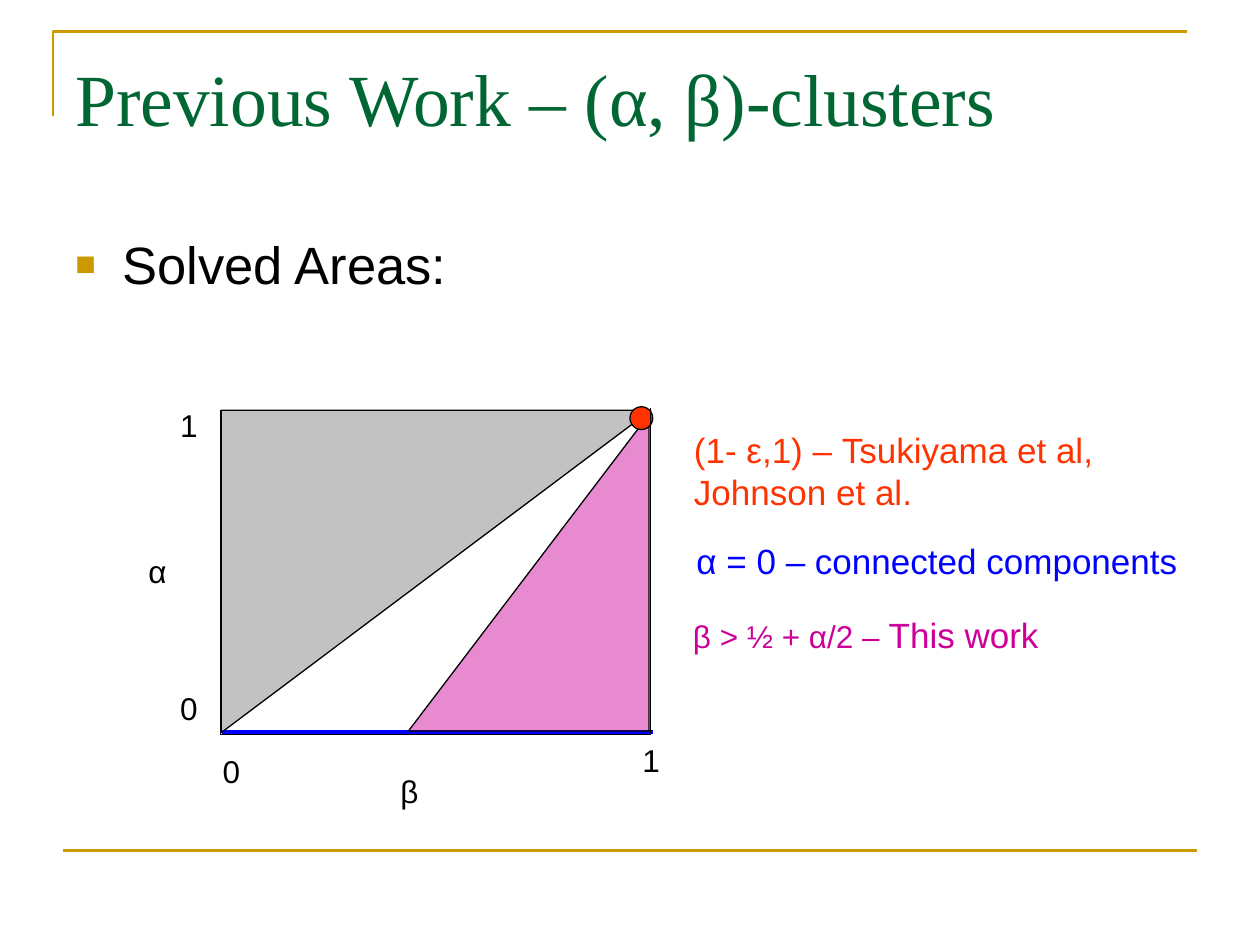
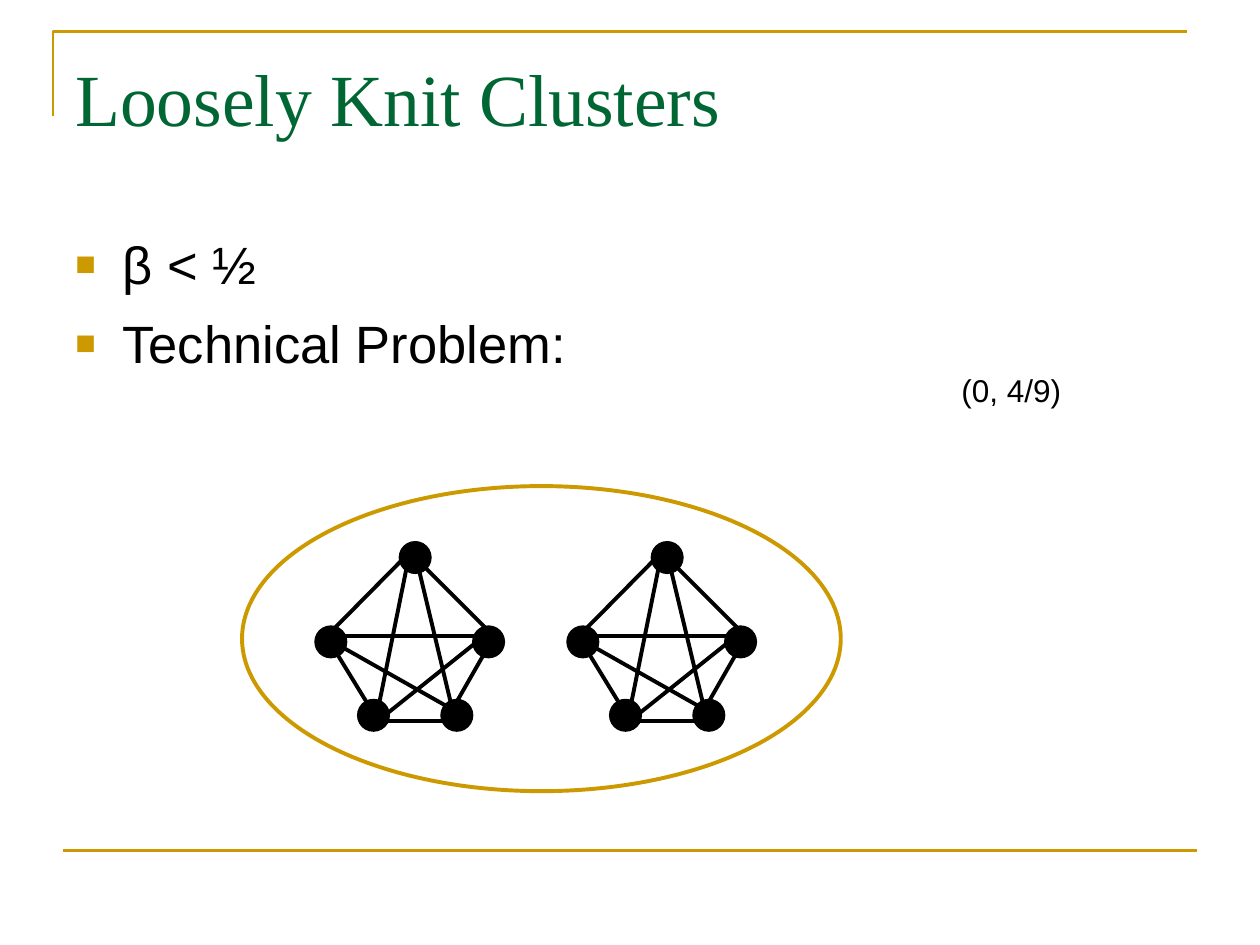
from dataclasses import dataclass

import lxml.etree
import pptx
import pptx.dml.color
import pptx.enum.shapes
import pptx.enum.text
import pptx.oxml.ns
import pptx.util

Cm = pptx.util.Cm
Pt = pptx.util.Pt
Kind = pptx.enum.shapes.MSO_SHAPE
qn = pptx.oxml.ns.qn


@dataclass(frozen=True)
class Theme:
    gold: str = "CC9900"
    green: str = "006633"
    black: str = "000000"
    blue: str = "0000FF"
    red: str = "FF3300"
    magenta: str = "CC0099"
    gray: str = "5F5F5F"
    title_font: str = "Times New Roman"
    body_font: str = "Arial"
    title_size: float = 42
    body_size: float = 30
    note_size: float = 20
    label_size: float = 18
    thin: float = 0.75
    rule: float = 1.5
    thick: float = 2.25


class Deck:
    def __init__(self, theme):
        self.theme = theme
        self.presentation = pptx.Presentation()
        self.presentation.slide_width = Cm(25.4)
        self.presentation.slide_height = Cm(19.05)
        self.page = None

    def color(self, value):
        return pptx.dml.color.RGBColor.from_string(value)

    def new_page(self, title):
        theme = self.theme
        self.page = self.presentation.slides.add_slide(self.presentation.slide_layouts[6])
        builder = self.page.shapes.build_freeform(Cm(1.07), Cm(2.34))
        builder.add_line_segments([(Cm(1.07), Cm(0.64)), (Cm(23.93), Cm(0.64))], close=False)
        self.style(builder.convert_to_shape(), None, theme.gold, theme.rule)
        self.line((1.27, 17.15), (24.13, 17.15), theme.gold, theme.rule)
        frame = self.text_frame(1.27, 0.76, 22.86, 3.18, top_inset=0.31)
        self.set_text(frame.paragraphs[0], title, theme.title_size, theme.green, theme.title_font)

    def style(self, shape, fill, line, width, opacity=100):
        shape.shadow.inherit = False
        shape.line.color.rgb = self.color(line)
        shape.line.width = Pt(width)
        if fill is None:
            shape.fill.background()
            return
        shape.fill.solid()
        shape.fill.fore_color.rgb = self.color(fill)
        if opacity < 100:
            tone = shape._element.spPr.find(qn("a:solidFill")).find(qn("a:srgbClr"))
            lxml.etree.SubElement(tone, qn("a:alpha"), val=str(opacity * 1000))

    def shape(self, kind, left, top, width, height, fill, line, weight, opacity=100, rotation=0):
        shape = self.page.shapes.add_shape(kind, Cm(left), Cm(top), Cm(width), Cm(height))
        shape.rotation = rotation
        self.style(shape, fill, line, weight, opacity)

    def line(self, start, end, color, width):
        points = [Cm(value) for value in (*start, *end)]
        connector = self.page.shapes.add_connector(
            pptx.enum.shapes.MSO_CONNECTOR.STRAIGHT, *points)
        connector.line.color.rgb = self.color(color)
        connector.line.width = Pt(width)
        lxml.etree.SubElement(connector._element.spPr, qn("a:effectLst"))

    def text_frame(self, left, top, width, height, top_inset=0.13):
        box = self.page.shapes.add_textbox(Cm(left), Cm(top), Cm(width), Cm(height))
        frame = box.text_frame
        frame.word_wrap = True
        frame.margin_top = Cm(top_inset)
        return frame

    def set_text(self, para, text, size, color, font):
        para.text = text
        self.style_span(para.runs[0], size, color, font)

    def style_span(self, span, size, color, font):
        span.font.size = Pt(size)
        span.font.name = font
        span.font.color.rgb = self.color(color)

    def label(self, text, left, top, width=1.07):
        frame = self.text_frame(left, top, width, 1.02)
        self.set_text(frame.paragraphs[0], text, self.theme.label_size,
                      self.theme.black, self.theme.body_font)

    def note(self, spans, left, top, width, height, color):
        para = self.text_frame(left, top, width, height).paragraphs[0]
        for text, size in spans:
            span = para.add_run()
            span.text = text
            self.style_span(span, size, color, self.theme.body_font)

    def bullets(self, lines):
        theme = self.theme
        frame = self.text_frame(1.27, 4.45, 22.86, 12.57, top_inset=0.23)
        frame.text = "\n".join(lines)
        for para in frame.paragraphs:
            self.style_span(para.runs[0], theme.body_size, theme.black, theme.body_font)
            para.space_before = Pt(9)
            props = para._p.get_or_add_pPr()
            props.set("marL", str(Cm(0.95)))
            props.set("indent", str(-Cm(0.95)))
            tone = lxml.etree.SubElement(props, qn("a:buClr"))
            lxml.etree.SubElement(tone, qn("a:srgbClr"), val=theme.gold)
            lxml.etree.SubElement(props, qn("a:buSzPct"), val="65000")
            lxml.etree.SubElement(props, qn("a:buFont"), typeface=theme.body_font)
            lxml.etree.SubElement(props, qn("a:buChar"), char="■")

    def cluster(self, offset):
        theme = self.theme
        nodes = [(6.35, 12.62), (8.05, 10.92), (9.53, 12.62), (7.21, 14.1), (8.89, 14.1)]
        top, left, right = (8.26, 11.13), (6.58, 12.83), (9.96, 12.83)
        lower_left, lower_right = (7.62, 14.53), (9.12, 14.3)
        edges = [
            ((7.62, 14.3), top), ((8.36, 11.13), lower_right), (left, right),
            (lower_left, (9.75, 12.83)), ((6.73, 12.95), lower_right),
            (left, lower_left), ((7.42, 14.53), (9.32, 14.53)),
            (lower_right, right), (right, top), (left, top),
        ]
        for x, y in nodes:
            self.shape(Kind.OVAL, x + offset, y, 0.64, 0.64, theme.black, theme.black, theme.thin)
        for (x1, y1), (x2, y2) in edges:
            self.line((x1 + offset, y1), (x2 + offset, y2), theme.black, theme.thick)


def solved_areas(deck):
    theme = deck.theme
    deck.new_page("Previous Work – (α, β)-clusters")
    deck.bullets(["Solved Areas:"])
    deck.line((4.45, 14.81), (13.13, 14.81), theme.black, theme.thin)
    deck.line((4.45, 14.81), (4.45, 8.26), theme.black, theme.thin)
    deck.line((4.47, 14.76), (13.16, 14.76), theme.blue, theme.thick)
    deck.shape(Kind.RIGHT_TRIANGLE, 7.47, 9.12, 6.38, 4.85, theme.magenta, theme.black,
               theme.thin, opacity=46, rotation=270)
    deck.shape(Kind.RIGHT_TRIANGLE, 5.54, 7.19, 6.5, 8.66, theme.gray, theme.black,
               theme.thin, opacity=38, rotation=90)
    deck.shape(Kind.OVAL, 12.7, 8.2, 0.46, 0.46, theme.red, theme.black, theme.thin)
    deck.line((13.11, 14.78), (13.11, 8.23), theme.black, theme.thin)

    deck.label("α", 2.74, 11, 1.47)
    deck.label("β", 7.82, 15.44, 1.7)
    for text, left, top in [("0", 4.24, 15.04), ("0", 3.38, 13.77),
                            ("1", 12.7, 14.81), ("1", 3.38, 8.05)]:
        deck.label(text, left, top)

    deck.note([("(1- ε,1) – Tsukiyama et al, Johnson et al.", theme.note_size)],
              13.74, 8.51, 9.83, 1.96, theme.red)
    deck.note([("α = 0 – connected components", theme.note_size)],
              13.79, 10.74, 10.69, 1.12, theme.blue)
    deck.note([("β > ½ + α/2 – ", theme.label_size), ("This work", theme.note_size)],
              13.72, 12.24, 11, 1.12, theme.magenta)


def loosely_knit(deck):
    theme = deck.theme
    deck.new_page("Loosely Knit Clusters")
    for offset in (0, 5.08):
        deck.cluster(offset)
    deck.shape(Kind.OVAL, 4.88, 9.8, 12.07, 6.15, None, theme.gold, theme.thick)
    deck.label("(0, 4/9)", 19.13, 7.34, 2.97)
    deck.bullets(["β < ½", "Technical Problem:"])


def main():
    deck = Deck(Theme())
    solved_areas(deck)
    loosely_knit(deck)
    deck.presentation.save("out.pptx")


if __name__ == "__main__":
    main()
